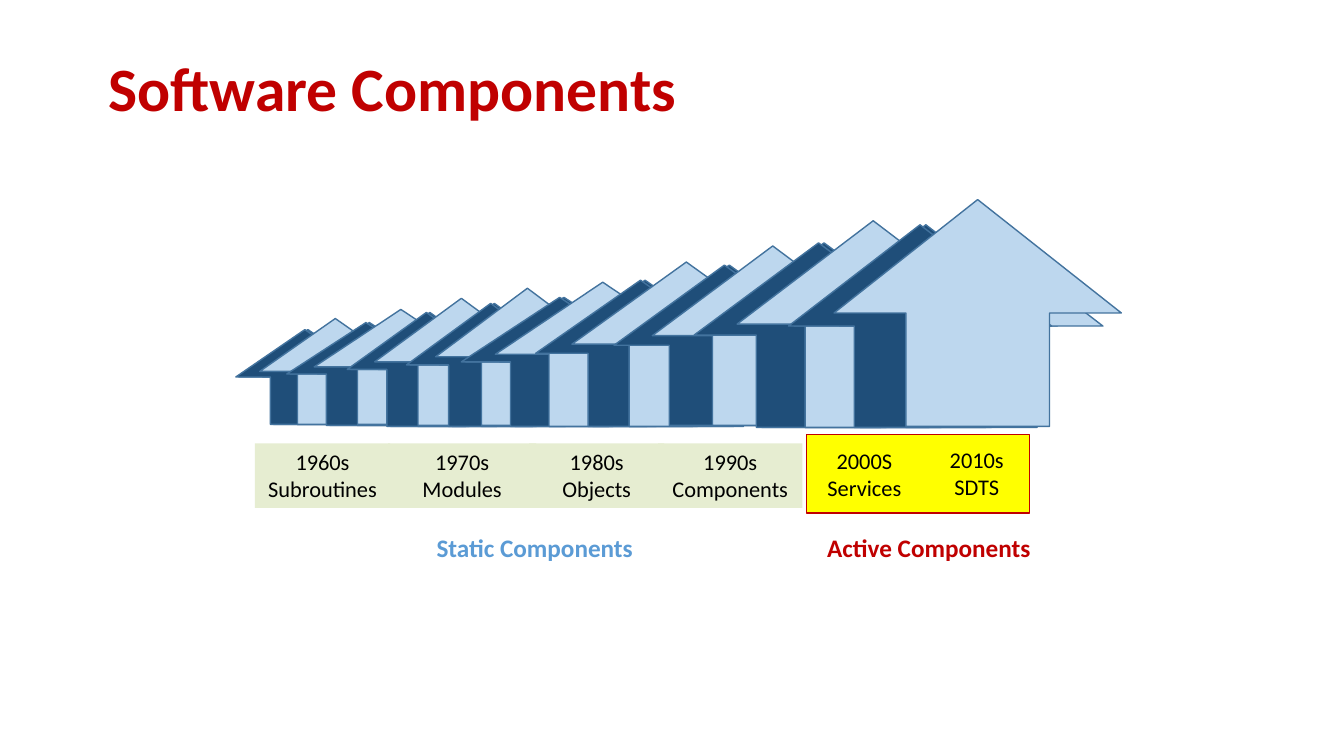
import pptx
import pptx.dml.color
import pptx.enum.shapes
import pptx.enum.text
import pptx.util

RGB = pptx.dml.color.RGBColor
SHAPE = pptx.enum.shapes.MSO_SHAPE
ALIGN = pptx.enum.text.PP_ALIGN
ANCHOR = pptx.enum.text.MSO_ANCHOR

RED = RGB(0xC0, 0x00, 0x00)
BLACK = RGB(0x00, 0x00, 0x00)
YELLOW = RGB(0xFF, 0xFF, 0x00)
GREEN = RGB(0xE6, 0xED, 0xD1)
NAVY = RGB(0x1F, 0x4E, 0x79)
SKY = RGB(0xBD, 0xD7, 0xEE)
STEEL = RGB(0x43, 0x73, 0x9E)
BLUE = RGB(0x5B, 0x9B, 0xD5)

# Size of the slide in square grid cells
COLS, ROWS = 133.33, 75

# Shares of a dark arrow's width
SHIFT, BACK = 0.173, 0.022

# Dark arrow: left, top, width, height; front arrow: top, width, height
WAVES = [
    (23.7, 32.7, 13.7, 9.4, 31.6, 15.0, 10.5),
    (28.8, 32.0, 15.7, 10.2, 30.7, 17.2, 11.4),
    (34.8, 31.0, 15.7, 11.3, 29.6, 17.2, 12.6),
    (40.7, 30.1, 16.7, 12.2, 28.6, 18.2, 13.6),
    (46.2, 29.5, 19.5, 12.8, 28.0, 21.3, 14.3),
    (53.6, 27.8, 20.8, 14.5, 26.0, 22.7, 16.3),
    (61.4, 26.3, 21.9, 15.9, 24.4, 23.9, 17.8),
    (69.4, 24.1, 24.7, 18.3, 21.9, 27.0, 20.5),
    (78.8, 22.3, 26.1, 20.1, 19.8, 28.5, 22.5),
]

# Left, top, width, fill, lines
ERAS = [
    (25.3, 44.0, 13.4, GREEN, ["1960s", "Subroutines"]),
    (38.5, 44.0, 14.7, GREEN, ["1970s", "Modules"]),
    (52.5, 44.0, 13.4, GREEN, ["1980s", "Objects"]),
    (65.3, 44.0, 14.3, GREEN, ["1990s", "Components"]),
    (79.3, 43.9, 12.9, None, ["2000S", "Services"]),
    (89.4, 43.8, 15.0, None, ["2010s", "SDTS"]),
]


class Board:
    """Slide with square grid cells a tenth of an inch wide."""
    font = "Calibri"
    cell = pptx.util.Inches(0.1)

    def __init__(self, deck):
        deck.slide_width = self.span(COLS)
        deck.slide_height = self.span(ROWS)
        self.slide = deck.slides.add_slide(deck.slide_layouts[6])

    def span(self, cells):
        return round(cells * self.cell)

    def shape(self, kind, box, fill, line=None, width=1):
        item = self.slide.shapes.add_shape(kind, *map(self.span, box))
        item.shadow.inherit = False
        item.fill.solid()
        item.fill.fore_color.rgb = fill
        if line is None:
            item.line.fill.background()
        else:
            item.line.color.rgb = line
            item.line.width = pptx.util.Pt(width)
        return item

    def text(self, box, lines, size, color, fill=None, bold=False,
             align=ALIGN.CENTER, anchor=ANCHOR.TOP, space=1.0):
        if fill is None:
            item = self.slide.shapes.add_textbox(*map(self.span, box))
        else:
            item = self.shape(SHAPE.RECTANGLE, box, fill)
        frame = item.text_frame
        frame.word_wrap = True
        frame.vertical_anchor = anchor
        frame.text = "\n".join(lines)
        for para in frame.paragraphs:
            para.alignment = align
            para.line_spacing = space
            para.font.name = self.font
            para.font.size = pptx.util.Pt(size)
            para.font.bold = bold
            para.font.color.rgb = color

    def arrow(self, box, fill):
        self.shape(SHAPE.UP_ARROW, box, fill, STEEL)

    def wave(self, left, top, wide, high, peak, broad, tall):
        """Draw four overlapping arrows, the tallest in front."""
        step, back = SHIFT * wide, BACK * wide
        for side, fill in ((left, NAVY), (left + step, SKY), (left - back, NAVY)):
            self.arrow((side, top, wide, high), fill)
        self.arrow((left - back + step, peak, broad, tall), SKY)


def main():
    deck = pptx.Presentation()
    board = Board(deck)
    board.text((9.8, 1.8, 115, 14.5), ["Software Components"], 44, RED, bold=True,
               align=ALIGN.LEFT, anchor=ANCHOR.MIDDLE, space=0.9)
    board.shape(SHAPE.RECTANGLE, (80, 43.1, 22.1, 7.8), YELLOW, RED, 0.75)
    for left, top, wide, fill, lines in ERAS:
        board.text((left, top, wide, 6.4), lines, 16, BLACK, fill)
    for wave in WAVES:
        board.wave(*wave)
    board.text((79.6, 52.3, 25.1, 4), ["Active Components"], 18, RED, bold=True)
    board.text((35.1, 52.3, 35.9, 4), ["Static Components"], 18, BLUE, bold=True)
    deck.save("out.pptx")


if __name__ == "__main__":
    main()
